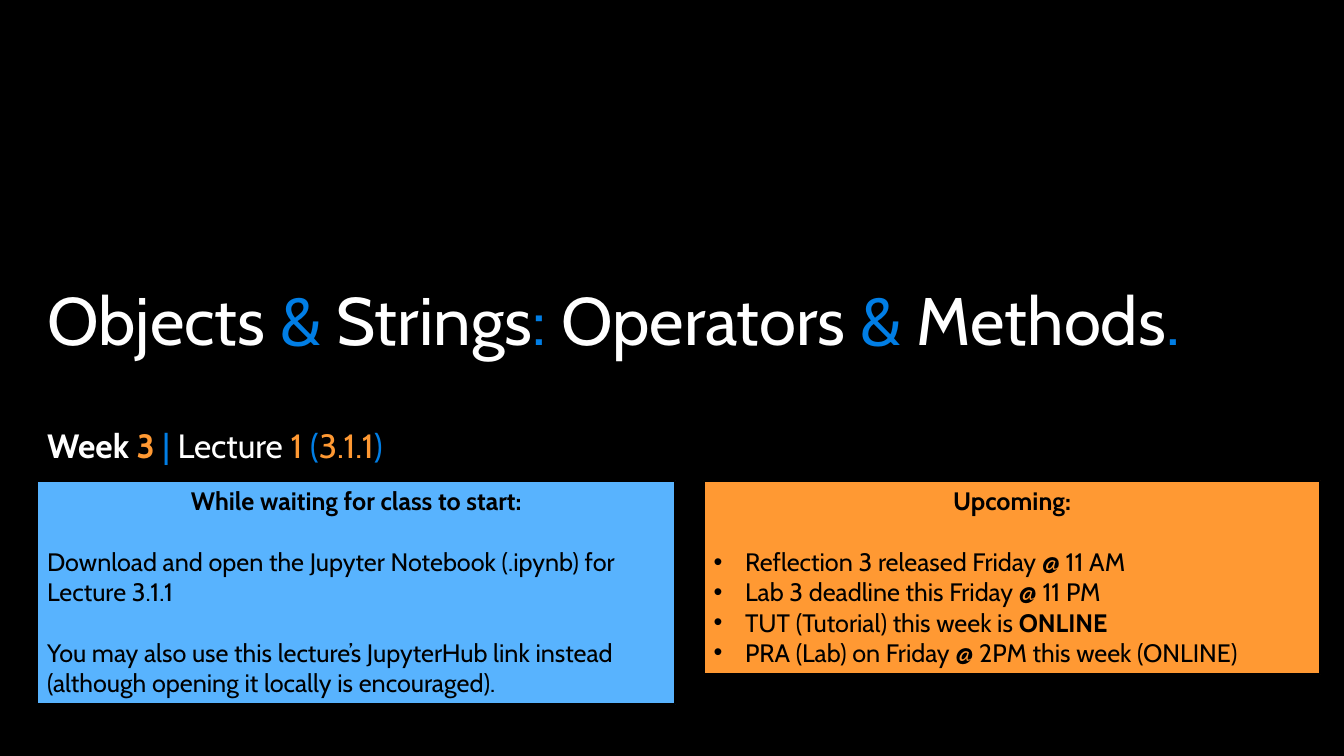
from lxml import etree
from pptx import Presentation
from pptx.dml.color import RGBColor
from pptx.enum.shapes import MSO_SHAPE
from pptx.enum.text import MSO_ANCHOR, MSO_AUTO_SIZE, PP_ALIGN
from pptx.oxml.ns import qn
from pptx.util import Pt

RECTANGLE = MSO_SHAPE.RECTANGLE
TOP, BOTTOM = MSO_ANCHOR.TOP, MSO_ANCHOR.BOTTOM
LEFT, CENTER = PP_ALIGN.LEFT, PP_ALIGN.CENTER
NO_FIT = MSO_AUTO_SIZE.NONE

FONT = "Cabin"
BLACK, WHITE = "000000", "FFFFFF"
BLUE, ORANGE, LIGHT_BLUE = "017EE5", "FF9933", "58B3FE"
LINE_GAP = 21.7  # one line of 18 pt text
BULLET_INDENT = 22.5
TITLE_LEFT, TITLE_WIDTH = 26.6, 897
PANEL_TOP = 343.4


def rgb(hex_color):
    return RGBColor.from_string(hex_color)


def set_font(paragraph, size):
    paragraph.font.name = FONT
    paragraph.font.size = Pt(size)


def add_heading_line(frame, size, parts):
    """Fill a frame with one line of (text, colour, bold) parts."""
    frame.word_wrap = True
    frame.auto_size = NO_FIT
    line = frame.paragraphs[0]
    line.alignment = LEFT
    line.line_spacing = 0.9
    set_font(line, size)
    for text, color, bold in parts:
        run = line.add_run()
        run.text = text
        run.font.color.rgb = rgb(color)
        run.font.bold = bold


def add_bullet(paragraph):
    properties = paragraph._p.get_or_add_pPr()
    properties.set("marL", str(Pt(BULLET_INDENT)))
    properties.set("indent", str(-Pt(BULLET_INDENT)))
    etree.SubElement(properties, qn("a:buFont"), typeface="Arial")
    etree.SubElement(properties, qn("a:buChar"), char="•")


def add_title(slide, top, height):
    title = slide.shapes.title
    title.left, title.top = Pt(TITLE_LEFT), Pt(top)
    title.width, title.height = Pt(TITLE_WIDTH), Pt(height)
    title.text_frame.vertical_anchor = BOTTOM
    add_heading_line(title.text_frame, 48, [
        ("Objects", WHITE, False), (" & ", BLUE, False),
        ("Strings", WHITE, False), (": ", BLUE, False),
        ("Operators", WHITE, False), (" & ", BLUE, False),
        ("Methods", WHITE, False), (".", BLUE, False),
    ])


def add_subtitle(slide, top, height):
    subtitle = slide.shapes.add_textbox(
        Pt(TITLE_LEFT), Pt(top), Pt(TITLE_WIDTH), Pt(height))
    add_heading_line(subtitle.text_frame, 24, [
        ("Week ", WHITE, True), ("3 ", ORANGE, True), ("|", BLUE, False),
        (" Lecture ", WHITE, False), ("1 ", ORANGE, False),
        ("(", BLUE, False), ("3.1.1", ORANGE, False), (")", BLUE, False),
    ])


def add_panel(slide, left, width, height, color, heading, items, bulleted):
    """Draw a coloured panel; each item is a list of (text, bold) runs."""
    panel = slide.shapes.add_shape(
        RECTANGLE, Pt(left), Pt(PANEL_TOP), Pt(width), Pt(height))
    panel.shadow.inherit = False
    panel.fill.solid()
    panel.fill.fore_color.rgb = rgb(color)
    panel.line.color.rgb = rgb(BLACK)
    panel.line.width = Pt(1.5)
    frame = panel.text_frame
    frame.word_wrap = True
    frame.vertical_anchor = TOP

    for index, runs in enumerate([[(heading, True)]] + items):
        paragraph = frame.paragraphs[0] if index == 0 else frame.add_paragraph()
        if index and bulleted:
            add_bullet(paragraph)
        # Bullets stay together; plain items are set apart
        if index == 1 or (index and not bulleted):
            paragraph.space_before = Pt(LINE_GAP)
        paragraph.alignment = LEFT if index else CENTER
        set_font(paragraph, 18)
        paragraph.font.color.rgb = rgb(BLACK)
        for text, bold in runs:
            run = paragraph.add_run()
            run.text = text
            run.font.bold = bold
            run.font.color.rgb = rgb(BLACK)


def main():
    deck = Presentation()
    deck.slide_width, deck.slide_height = Pt(960), Pt(540)
    slide = deck.slides.add_slide(deck.slide_layouts[5])
    slide.background.fill.solid()
    slide.background.fill.fore_color.rgb = rgb(BLACK)

    # Lecture heading
    add_title(slide, 190, 70.6)
    add_subtitle(slide, 303, 130.3)

    # Announcements
    add_panel(slide, 502.6, 440.6, 138.2, ORANGE, "Upcoming:", [
        [("Reflection 3 released Friday @ 11 AM", False)],
        [("Lab 3 deadline this Friday @ 11 PM", False)],
        [("TUT (Tutorial) this week is ", False), ("ONLINE", True)],
        [("PRA (Lab) on Friday @ 2PM this week (ONLINE)", False)],
    ], bulleted=True)

    # Class preparation
    add_panel(slide, TITLE_LEFT, 455.8, 159.8, LIGHT_BLUE,
              "While waiting for class to start:", [
        [("Download and open the Jupyter Notebook (.ipynb) for "
          "Lecture 3.1.1", False)],
        [("You may also use this lecture’s JupyterHub link instead "
          "(although opening it locally is encouraged).", False)],
    ], bulleted=False)

    deck.save("out.pptx")


if __name__ == "__main__":
    main()
